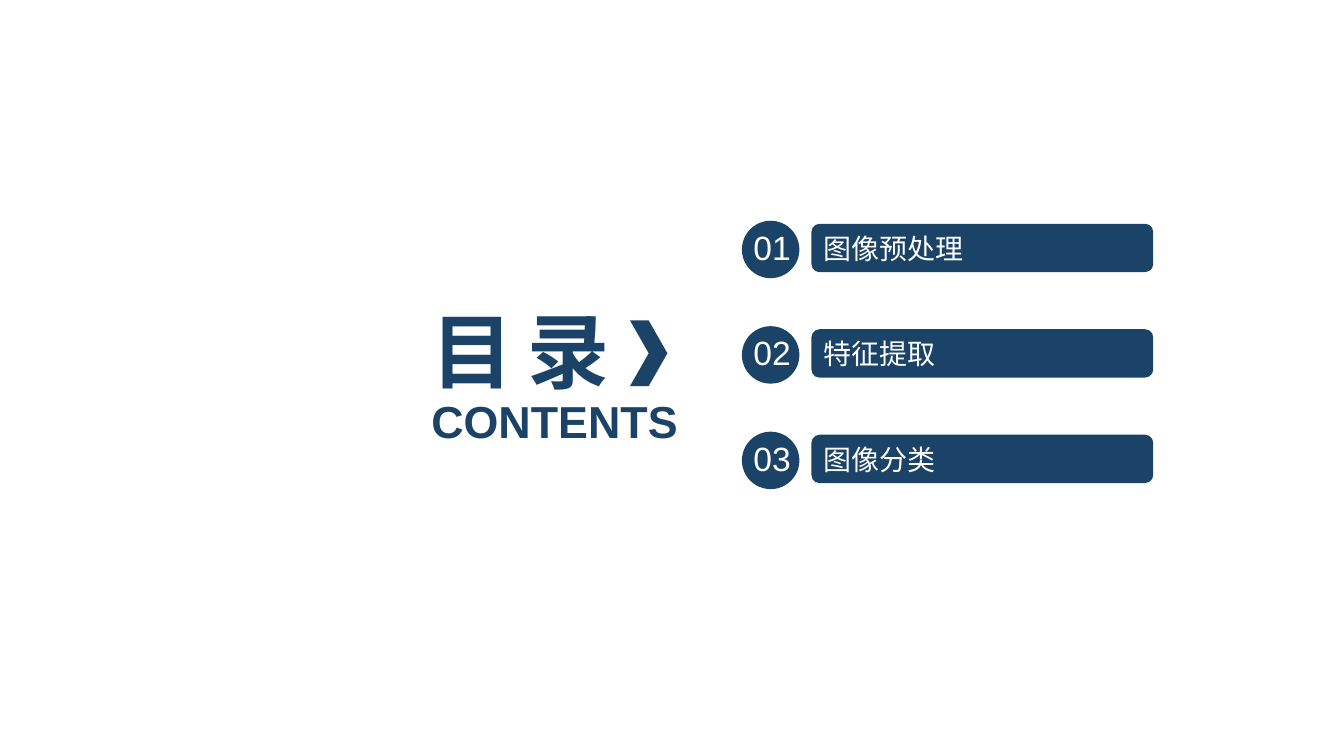
from dataclasses import dataclass

from lxml.etree import SubElement
from pptx import Presentation
from pptx.dml.color import RGBColor as RGB
from pptx.enum.shapes import MSO_SHAPE as SHAPE
from pptx.enum.text import MSO_ANCHOR as ANCHOR, MSO_AUTO_SIZE as AUTO, PP_ALIGN as ALIGN
from pptx.oxml.ns import qn
from pptx.util import Inches, Pt


@dataclass(frozen=True)
class Theme:
    navy: RGB = RGB(0x1B, 0x43, 0x67)
    white: RGB = RGB(0xFF, 0xFF, 0xFF)
    font: str = "Arial"
    title: float = 58.6
    subtitle: float = 32
    number: float = 24
    topic: float = 20


THEME = Theme()
WIDTH, HEIGHT = Inches(13.333), Inches(7.5)
TOPICS = ["图像预处理", "特征提取", "图像分类"]
FIRST_ROW, ROW_PITCH = 29.6, 13.95


def box(x, y, w, h):
    return [int(share * side / 100)
            for share, side in zip((x, y, w, h), (WIDTH, HEIGHT) * 2)]


def put_text(sp, text, size, color, bold=False, align=ALIGN.LEFT,
             anchor=ANCHOR.TOP, spacing=None):
    tf = sp.text_frame
    frame = {"word_wrap": True, "auto_size": AUTO.NONE, "vertical_anchor": anchor}
    for name, value in frame.items():
        setattr(tf, name, value)
    p = tf.paragraphs[0]
    p.alignment = align
    r = p.add_run()
    r.text = text
    for name, value in {"name": THEME.font, "size": Pt(size), "bold": bold}.items():
        setattr(r.font, name, value)
    r.font.color.rgb = color
    props = r.font._element
    SubElement(props, qn("a:ea")).set("typeface", THEME.font)
    if spacing is not None:
        props.set("spc", str(spacing * 100))


def add_solid(shapes, kind, place):
    sp = shapes.add_shape(kind, *box(*place))
    sp.shadow.inherit = False
    sp.fill.solid()
    sp.fill.fore_color.rgb = THEME.navy
    sp.line.fill.background()
    return sp


def add_label(shapes, place, text, size, color, **style):
    put_text(shapes.add_textbox(*box(*place)), text, size, color, **style)


def add_title(s, place, text):
    sp = s.shapes.title
    for name, value in zip(("left", "top", "width", "height"), box(*place)):
        setattr(sp, name, value)
    put_text(sp, text, THEME.title, THEME.navy, bold=True, spacing=-3)


def add_topic(s, index, topic):
    y = FIRST_ROW + index * ROW_PITCH
    bar = add_solid(s.shapes, SHAPE.ROUNDED_RECTANGLE, (60.38, y, 25.43, 6.4))
    put_text(bar, topic, THEME.topic, THEME.white, anchor=ANCHOR.MIDDLE)
    badge = s.shapes.add_group_shape().shapes
    add_solid(badge, SHAPE.OVAL, (55.2, y - 0.4, 4.28, 7.6))
    add_label(badge, (54.83, y - 0.27, 5.25, 6.67), f"{index + 1:02}",
              THEME.number, THEME.white, align=ALIGN.CENTER)


def main():
    prs = Presentation()
    prs.slide_width, prs.slide_height = WIDTH, HEIGHT
    s = prs.slides.add_slide(prs.slide_layouts[5])
    add_title(s, (31.35, 39.07, 23.48, 14.53), "目 录")
    add_label(s.shapes, (31.35, 51.47, 23.1, 8.53), "CONTENTS",
              THEME.subtitle, THEME.navy, bold=True)
    add_solid(s.shapes, SHAPE.CHEVRON, (46.88, 42.4, 2.78, 8.67))
    for index, topic in enumerate(TOPICS):
        add_topic(s, index, topic)
    prs.save("out.pptx")


if __name__ == "__main__":
    main()
